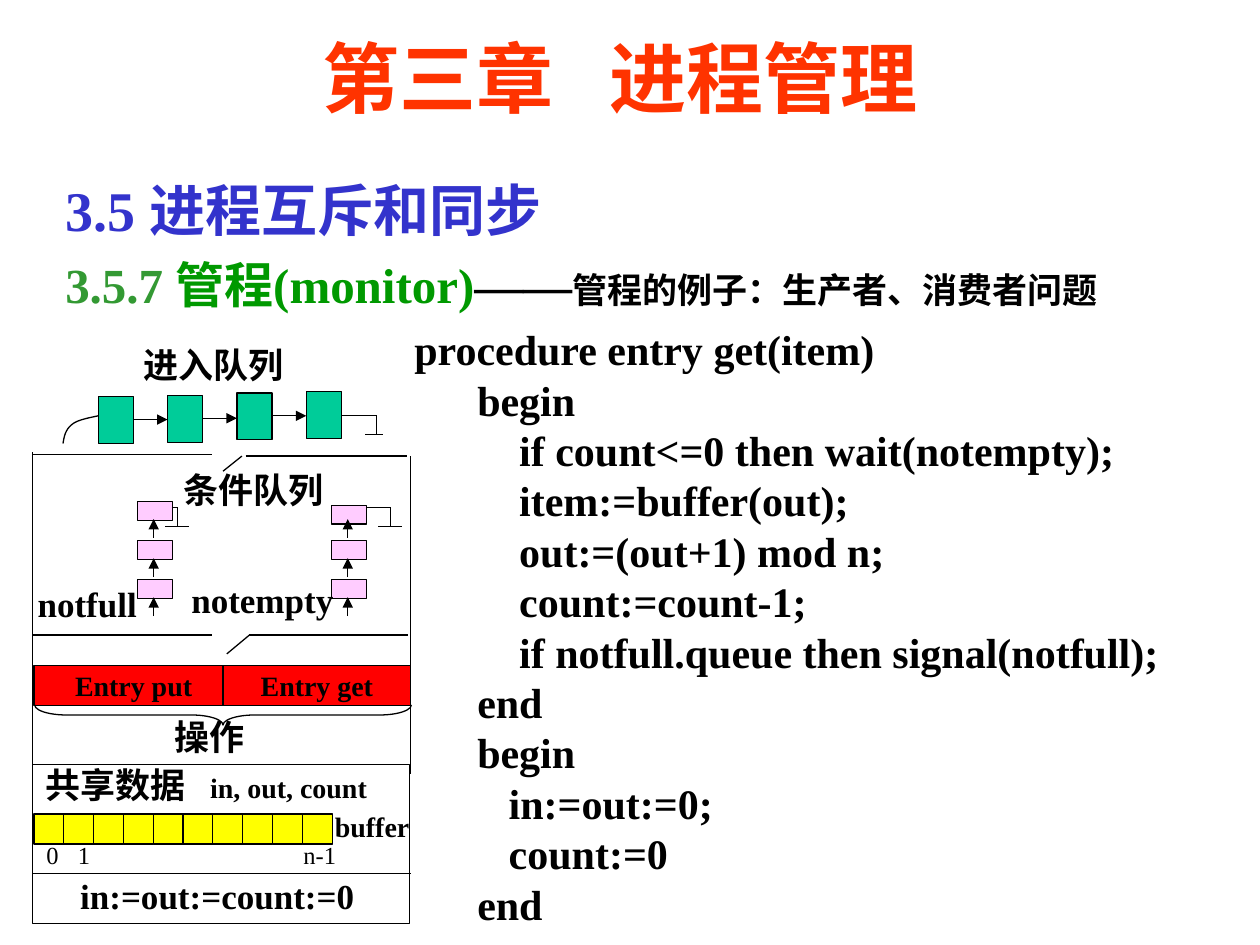
from lxml import etree
from pptx import Presentation
from pptx.dml.color import RGBColor
from pptx.enum.shapes import MSO_CONNECTOR, MSO_SHAPE
from pptx.enum.text import MSO_ANCHOR, PP_ALIGN
from pptx.oxml.ns import qn
from pptx.util import Inches, Pt

RECT, BRACE = MSO_SHAPE.RECTANGLE, MSO_SHAPE.RIGHT_BRACE
STRAIGHT = MSO_CONNECTOR.STRAIGHT
LEFT, CENTER = PP_ALIGN.LEFT, PP_ALIGN.CENTER
TOP, MIDDLE = MSO_ANCHOR.TOP, MSO_ANCHOR.MIDDLE

FONT = "Times New Roman"
BLACK = RGBColor(0x00, 0x00, 0x00)
ORANGE = RGBColor(0xFF, 0x33, 0x00)
BLUE = RGBColor(0x33, 0x33, 0xCC)
MOSS = RGBColor(0x33, 0x99, 0x33)
GREEN = RGBColor(0x00, 0x99, 0x00)
TEAL = RGBColor(0x00, 0xCC, 0x99)
PINK = RGBColor(0xFF, 0xCC, 0xFF)
RED = RGBColor(0xFF, 0x00, 0x00)
YELLOW = RGBColor(0xFF, 0xFF, 0x00)

CODE = """procedure entry get(item)
      begin
          if count<=0 then wait(notempty);
          item:=buffer(out);
          out:=(out+1) mod n;
          count:=count-1;
          if notfull.queue then signal(notfull);
      end
      begin
         in:=out:=0;
         count:=0
      end"""


def add_run(p, text, size, color=BLACK, bold=True):
    """Append a formatted run to a paragraph."""
    r = p.add_run()
    r.text = text
    r.font.name, r.font.size, r.font.bold = FONT, Pt(size), bold
    r.font.color.rgb = color
    return r


def add_text(s, x, y, w, h, runs=(), align=LEFT, anchor=TOP, tabs=()):
    """Add a text box with one paragraph of runs and return its text frame."""
    tf = s.shapes.add_textbox(Inches(x), Inches(y), Inches(w), Inches(h)).text_frame
    tf.word_wrap = True
    tf.vertical_anchor = anchor
    p = tf.paragraphs[0]
    p.alignment = align
    if tabs:
        tab_list = etree.SubElement(p._p.get_or_add_pPr(), qn("a:tabLst"))
        for pos in tabs:
            etree.SubElement(tab_list, qn("a:tab"), pos=str(Inches(pos)), algn="l")
    for run in runs:
        add_run(p, *run)
    return tf


def style(sp, fill=None):
    """Give a shape a thin black outline and an optional fill."""
    sp.shadow.inherit = False
    sp.line.color.rgb = BLACK
    sp.line.width = Pt(0.75)
    if fill is None:
        sp.fill.background()
    else:
        sp.fill.solid()
        sp.fill.fore_color.rgb = fill


def add_box(s, x, y, w, h, fill=None, kind=RECT, label=None):
    """Add an outlined shape with an optional centred label."""
    sp = s.shapes.add_shape(kind, Inches(x), Inches(y), Inches(w), Inches(h))
    style(sp, fill)
    if label:
        tf = sp.text_frame
        tf.word_wrap = False
        tf.vertical_anchor = MIDDLE
        tf.paragraphs[0].alignment = CENTER
        add_run(tf.paragraphs[0], label, 16)
    return sp


def add_line(s, x1, y1, x2, y2, arrow=False):
    """Add a thin black line, with an arrowhead at its end if wanted."""
    line = s.shapes.add_connector(STRAIGHT, Inches(x1), Inches(y1), Inches(x2), Inches(y2))
    line.line.color.rgb = BLACK
    line.line.width = Pt(0.75)
    if arrow:
        etree.SubElement(line.line._get_or_add_ln(), qn("a:tailEnd"), type="triangle")
    etree.SubElement(line._element.spPr, qn("a:effectLst"))


def add_queue_end(s, x1, x2, y, foot_left, foot_right):
    """Draw the terminator that closes a queue."""
    add_line(s, x1, y, x2, y)
    add_line(s, x2, y, x2, y + 0.15)
    add_line(s, foot_left, y + 0.15, foot_right, y + 0.15)


def add_curve(s, pieces, steps=8):
    """Draw an open outline through cubic Bezier pieces."""
    points = []
    for piece in pieces:
        for i in range(steps + 1):
            t = i / steps
            weights = ((1 - t) ** 3, 3 * t * (1 - t) ** 2, 3 * t * t * (1 - t), t ** 3)
            points.append(tuple(Inches(sum(k * pt[axis] for k, pt in zip(weights, piece)))
                                for axis in (0, 1)))
    builder = s.shapes.build_freeform(*points[0])
    builder.add_line_segments(points[1:], close=False)
    style(builder.convert_to_shape())


def add_headings(s):
    """Add the chapter title and the section headings."""
    p = add_text(s, 1.17, 0.07, 7.5, 1.08, [("第三章", 44, ORANGE)], CENTER, MIDDLE).paragraphs[0]
    gap = add_run(p, " ", 44, ORANGE)
    gap._r.get_or_add_rPr().set("spc", "2200")
    add_run(p, "进程管理", 44, ORANGE)

    p = add_text(s, 0.42, 1.24, 9, 1.3, [("3.5 进程互斥和同步", 32, BLUE)]).paragraphs[0]
    p.line_spacing = 1.2
    p.add_line_break()
    for run in (("3.5.7 ", 28, MOSS), ("管程(monitor)", 28, GREEN),
                ("——", 28), ("管程的例子：生产者、消费者问题", 20)):
        add_run(p, *run)


def add_code(s):
    """Add the procedure listing."""
    tf = add_text(s, 3.19, 2.52, 6.54, 4.89)
    for i, code_line in enumerate(CODE.split("\n")):
        p = tf.add_paragraph() if i else tf.paragraphs[0]
        add_run(p, code_line, 24)


def add_entry_queue(s):
    """Draw the queue of processes waiting to enter."""
    add_text(s, 1.04, 2.68, 1.45, 0.43, [("进入队列", 20)])
    add_curve(s, [((0.5, 3.52), (0.51, 3.46), (0.52, 3.41), (0.57, 3.37)),
                  ((0.57, 3.37), (0.61, 3.33), (0.74, 3.31), (0.78, 3.3))])
    for i, y in enumerate((3.15, 3.14, 3.12, 3.11)):
        x = 0.78 + 0.55 * i
        add_box(s, x, y, 0.28, 0.37, TEAL)
        if i < 3:
            add_line(s, x + 0.28, y + 0.18, x + 0.55, y + 0.18, True)
    add_queue_end(s, 2.71, 2.99, 3.3, 2.9, 3.04)


def add_condition_queues(s):
    """Draw the two condition queues and their labels."""
    add_queue_end(s, 1.21, 1.41, 4.03, 1.31, 1.5)
    add_queue_end(s, 2.91, 3.1, 4.03, 3, 3.19)
    for x, first in ((1.09, 3.98), (2.63, 4.01)):
        for i, y in enumerate((first, 4.29, 4.6)):
            add_box(s, x, y, 0.28, 0.15, PINK)
            tip = 4.12 + 0.31 * i
            add_line(s, x + 0.13, tip + 0.15, x + 0.13, tip, True)
    add_text(s, 0.2, 4.57, 1.02, 0.43, [("notfull", 20)])
    add_text(s, 1.42, 4.54, 1.38, 0.43, [("notempty", 20)])
    add_text(s, 1.24, 3.67, 1.55, 0.43, [("条件队列", 20)], CENTER)


def add_monitor_frame(s):
    """Draw the monitor walls with their two gates."""
    for ends in ((0.26, 3.61, 1.68, 3.61), (1.92, 3.62, 1.77, 3.74), (1.95, 3.62, 3.23, 3.62),
                 (0.26, 5.04, 1.68, 5.04), (1.98, 5.04, 1.8, 5.19), (1.98, 5.04, 3.24, 5.04),
                 (0.26, 3.59, 0.26, 6.13), (3.26, 3.62, 3.26, 6.14)):
        add_line(s, *ends)


def add_operations(s):
    """Draw the entry procedures with their brace."""
    add_box(s, 0.27, 5.28, 1.58, 0.32, RED, label="Entry put")
    add_box(s, 1.77, 5.28, 1.49, 0.32, RED, label="Entry get")
    brace = add_box(s, 1.69, 4.18, 0.16, 2.99, kind=BRACE)
    brace.rotation = 90
    brace.adjustments[0] = 1.58
    add_text(s, 1.29, 5.63, 0.83, 0.43, [("操作", 20)])


def add_shared_data(s):
    """Draw the shared data, the buffer slots and the initial values."""
    add_box(s, 0.26, 6.07, 2.99, 1.26)
    add_line(s, 0.26, 6.93, 3.26, 6.93)
    add_text(s, 0.26, 6.01, 2.84, 0.43, [("共享数据\t", 20), ("in, out, count", 16)], tabs=(1.31,))
    add_text(s, 0.27, 6.62, 2.54, 0.33, [("0\t1\tn-1", 14, BLACK, False)], tabs=(0.25, 2.04))
    for i in range(10):
        add_box(s, 0.27 + 0.2365 * i, 6.46, 0.24, 0.24, YELLOW)
    add_text(s, 2.56, 6.38, 0.94, 0.37, [("buffer", 16)])
    add_text(s, 0.27, 6.89, 2.91, 0.43, [("in:=out:=count:=0", 20)], CENTER)


def main():
    """Build the slide and save it."""
    prs = Presentation()
    prs.slide_width, prs.slide_height = Inches(10), Inches(7.5)
    s = prs.slides.add_slide(prs.slide_layouts[6])
    for add_part in (add_headings, add_code, add_entry_queue, add_monitor_frame,
                     add_condition_queues, add_operations, add_shared_data):
        add_part(s)
    prs.save("out.pptx")


if __name__ == "__main__":
    main()
